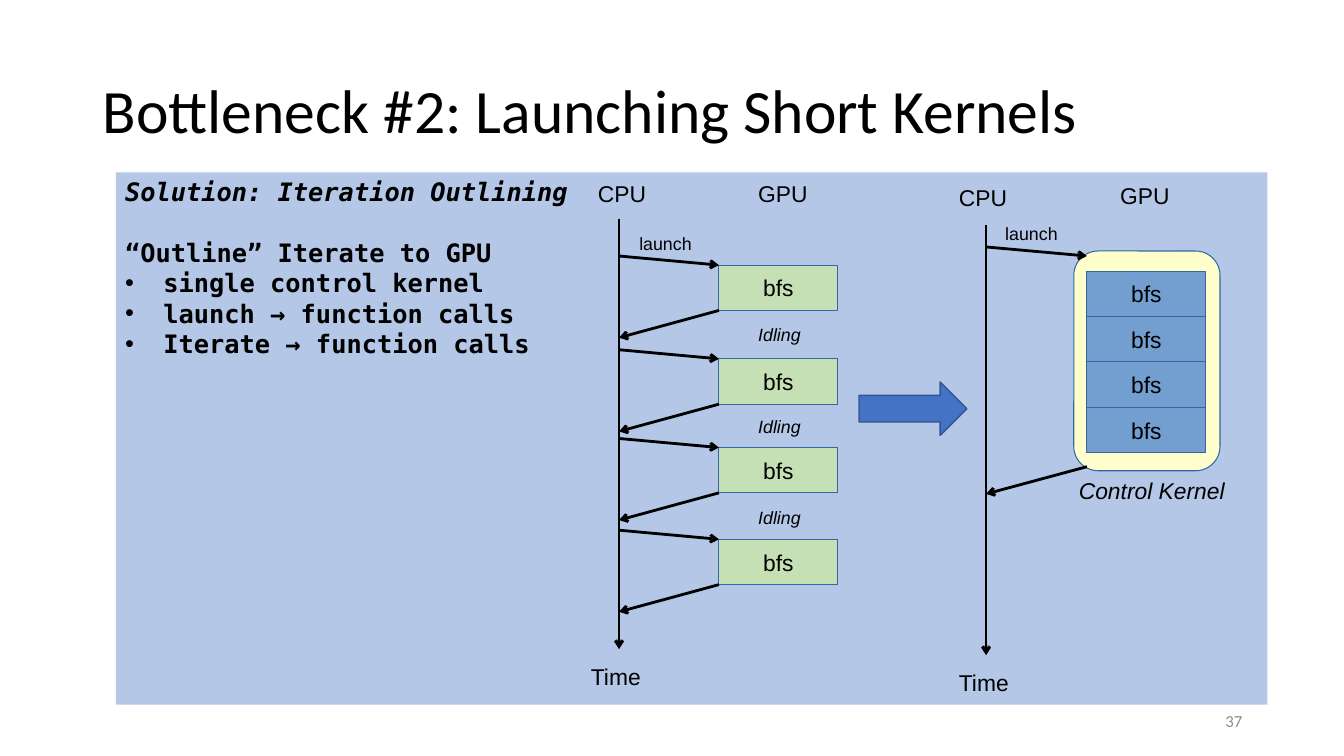
from dataclasses import dataclass

from lxml import etree
from pptx import Presentation
from pptx.dml.color import RGBColor
from pptx.enum.shapes import MSO_CONNECTOR as Connector
from pptx.enum.shapes import MSO_SHAPE as Shape
from pptx.enum.text import MSO_ANCHOR as Anchor
from pptx.enum.text import MSO_AUTO_SIZE as AutoSize
from pptx.enum.text import PP_ALIGN as Align
from pptx.oxml.ns import qn
from pptx.util import Inches, Pt

BLACK = RGBColor(0x00, 0x00, 0x00)
GRAY = RGBColor(0x8C, 0x8C, 0x8C)
PANEL_BLUE = RGBColor(0xB4, 0xC7, 0xE7)
GREEN = RGBColor(0xC5, 0xE0, 0xB4)
KERNEL_BLUE = RGBColor(0x72, 0x9F, 0xCF)
YELLOW = RGBColor(0xFF, 0xFF, 0xCC)
OUTLINE = RGBColor(0x34, 0x65, 0xA4)
ARROW_BLUE = RGBColor(0x44, 0x72, 0xC4)
ARROW_OUTLINE = RGBColor(0x32, 0x54, 0x91)

MONO = "DejaVu Sans Mono"
LARGE, SMALL = 16.3, 12.7
KERNEL_WIDTH, KERNEL_HEIGHT = 1.18, 0.45
LAUNCH_RISE = 0.09
RETURN_DROP = 0.27
LEFT_CPU, LEFT_GPU = 6.14, 7.13
RIGHT_CPU, RIGHT_GPU = 9.78, 10.78
LEFT_KERNEL_TOPS = (2.63, 3.56, 4.44, 5.35)
STACK_TOP, STACK_COUNT = 2.69, 4


@dataclass(frozen=True)
class Label:
    text: str
    left: float
    top: float
    width: float
    size: float = LARGE
    italic: bool = False

    @property
    def height(self) -> float:
        return 0.35 if self.size == LARGE else 0.29


@dataclass(frozen=True)
class Arrow:
    x1: float
    y1: float
    x2: float
    y2: float


LABELS = [
    Label("Time", 5.77, 6.53, 0.68),
    Label("CPU", 5.84, 1.74, 0.66),
    Label("GPU", 7.43, 1.74, 0.68),
    Label("launch", 6.25, 2.27, 0.71, SMALL),
    *(Label("Idling", 7.43, 3.17 + 0.91 * gap, 0.61, SMALL, True) for gap in range(3)),
    Label("Time", 9.42, 6.59, 0.68),
    Label("Control Kernel", 10.61, 4.69, 1.64, LARGE, True),
    Label("GPU", 11.02, 1.76, 0.68),
    Label("CPU", 9.42, 1.78, 0.66),
    Label("launch", 9.88, 2.17, 0.71, SMALL),
]

RIGHT_ARROWS = [
    Arrow(RIGHT_CPU, 2.23, RIGHT_CPU, 6.5),
    Arrow(RIGHT_CPU, 2.45, RIGHT_GPU, 2.54),
    Arrow(RIGHT_GPU, 4.63, RIGHT_CPU, 4.9),
]


def write(para, text: str, *, size: float, font: str = "Arial", color: RGBColor = BLACK,
          bold: bool = False, italic: bool = False, align: Align = Align.LEFT) -> None:
    para.alignment = align
    span = para.add_run()
    span.text = text
    span.font.name = font
    span.font.size = Pt(size)
    span.font.bold = bold
    span.font.italic = italic
    span.font.color.rgb = color


def set_insets(frame) -> None:
    frame.margin_left = frame.margin_right = Inches(0.09)
    frame.margin_top = frame.margin_bottom = Inches(0.04)


def add_box(slide, kind: Shape, left: float, top: float, width: float, height: float,
            fill: RGBColor, line: RGBColor | None = OUTLINE, line_width: float = 0):
    box = slide.shapes.add_shape(kind, Inches(left), Inches(top), Inches(width), Inches(height))
    box.shadow.inherit = False
    box.fill.solid()
    box.fill.fore_color.rgb = fill
    if line is None:
        box.line.fill.background()
    else:
        box.line.color.rgb = line
        box.line.width = Pt(line_width)
    return box


def add_kernel(slide, left: float, top: float, fill: RGBColor) -> None:
    box = add_box(slide, Shape.RECTANGLE, left, top, KERNEL_WIDTH, KERNEL_HEIGHT, fill)
    frame = box.text_frame
    set_insets(frame)
    frame.word_wrap = False
    frame.vertical_anchor = Anchor.MIDDLE
    write(frame.paragraphs[0], "bfs", size=LARGE, align=Align.CENTER)


def add_arrow(slide, arrow: Arrow) -> None:
    line = slide.shapes.add_connector(Connector.STRAIGHT, Inches(arrow.x1), Inches(arrow.y1),
                                      Inches(arrow.x2), Inches(arrow.y2))
    line.line.color.rgb = BLACK
    line.line.width = Pt(2)
    etree.SubElement(line.line._get_or_add_ln(), qn("a:tailEnd"), type="arrow")
    etree.SubElement(line._element.spPr, qn("a:effectLst"))


def add_label(slide, label: Label) -> None:
    box = slide.shapes.add_textbox(Inches(label.left), Inches(label.top),
                                   Inches(label.width), Inches(label.height))
    frame = box.text_frame
    set_insets(frame)
    frame.word_wrap = False
    frame.auto_size = AutoSize.SHAPE_TO_FIT_TEXT
    write(frame.paragraphs[0], label.text, size=label.size, italic=label.italic)


def add_bullet(para) -> None:
    props = para._p.get_or_add_pPr()
    props.set("marL", str(Inches(0.38)))
    props.set("indent", str(-Inches(0.38)))
    etree.SubElement(props, qn("a:buFont"), typeface="Arial")
    etree.SubElement(props, qn("a:buChar"), char="•")


def add_title(slide) -> None:
    title = slide.shapes.title
    title.left, title.top = Inches(0.92), Inches(0.74)
    title.width, title.height = Inches(11.5), Inches(0.77)
    frame = title.text_frame
    frame.auto_size = AutoSize.NONE
    frame.vertical_anchor = Anchor.MIDDLE
    para = frame.paragraphs[0]
    para.line_spacing = 0.9
    write(para, "Bottleneck #2: Launching Short Kernels", size=44, font="Calibri")


def add_panel(slide) -> None:
    panel = add_box(slide, Shape.RECTANGLE, 1.15, 1.71, 11.42, 5.28, PANEL_BLUE, None)
    frame = panel.text_frame
    set_insets(frame)
    frame.word_wrap = True
    frame.vertical_anchor = Anchor.TOP
    style = {"size": 18.1, "font": MONO, "bold": True}
    write(frame.paragraphs[0], "Solution: Iteration Outlining", italic=True, **style)
    outline = frame.add_paragraph()
    outline.space_before = Pt(21.5)
    write(outline, "“Outline” Iterate to GPU", **style)
    for point in ("single control kernel", "launch → function calls", "Iterate → function calls"):
        para = frame.add_paragraph()
        write(para, point, **style)
        add_bullet(para)


def add_slide_number(slide) -> None:
    box = slide.shapes.add_textbox(Inches(9.42), Inches(6.95), Inches(3), Inches(0.4))
    frame = box.text_frame
    frame.word_wrap = True
    frame.vertical_anchor = Anchor.MIDDLE
    write(frame.paragraphs[0], "37", size=12, font="Calibri", color=GRAY, align=Align.RIGHT)


def main() -> None:
    deck = Presentation()
    deck.slide_width, deck.slide_height = Inches(13.33), Inches(7.5)
    page = deck.slides.add_slide(deck.slide_layouts[5])
    add_slide_number(page)
    add_title(page)
    add_panel(page)

    add_arrow(page, Arrow(LEFT_CPU, 2.17, LEFT_CPU, 6.44))
    for top in LEFT_KERNEL_TOPS:
        bottom = top + KERNEL_HEIGHT
        add_kernel(page, LEFT_GPU, top, GREEN)
        add_arrow(page, Arrow(LEFT_CPU, top - LAUNCH_RISE, LEFT_GPU, top))
        add_arrow(page, Arrow(LEFT_GPU, bottom, LEFT_CPU, bottom + RETURN_DROP))

    add_box(page, Shape.ROUNDED_RECTANGLE, 10.65, 2.49, 1.45, 2.18, YELLOW)
    for row in range(STACK_COUNT):
        add_kernel(page, RIGHT_GPU, STACK_TOP + row * KERNEL_HEIGHT, KERNEL_BLUE)
    for arrow in RIGHT_ARROWS:
        add_arrow(page, arrow)
    for label in LABELS:
        add_label(page, label)
    add_box(page, Shape.RIGHT_ARROW, 8.52, 3.79, 1.07, 0.53, ARROW_BLUE, ARROW_OUTLINE, 1)
    deck.save("out.pptx")


if __name__ == "__main__":
    main()
